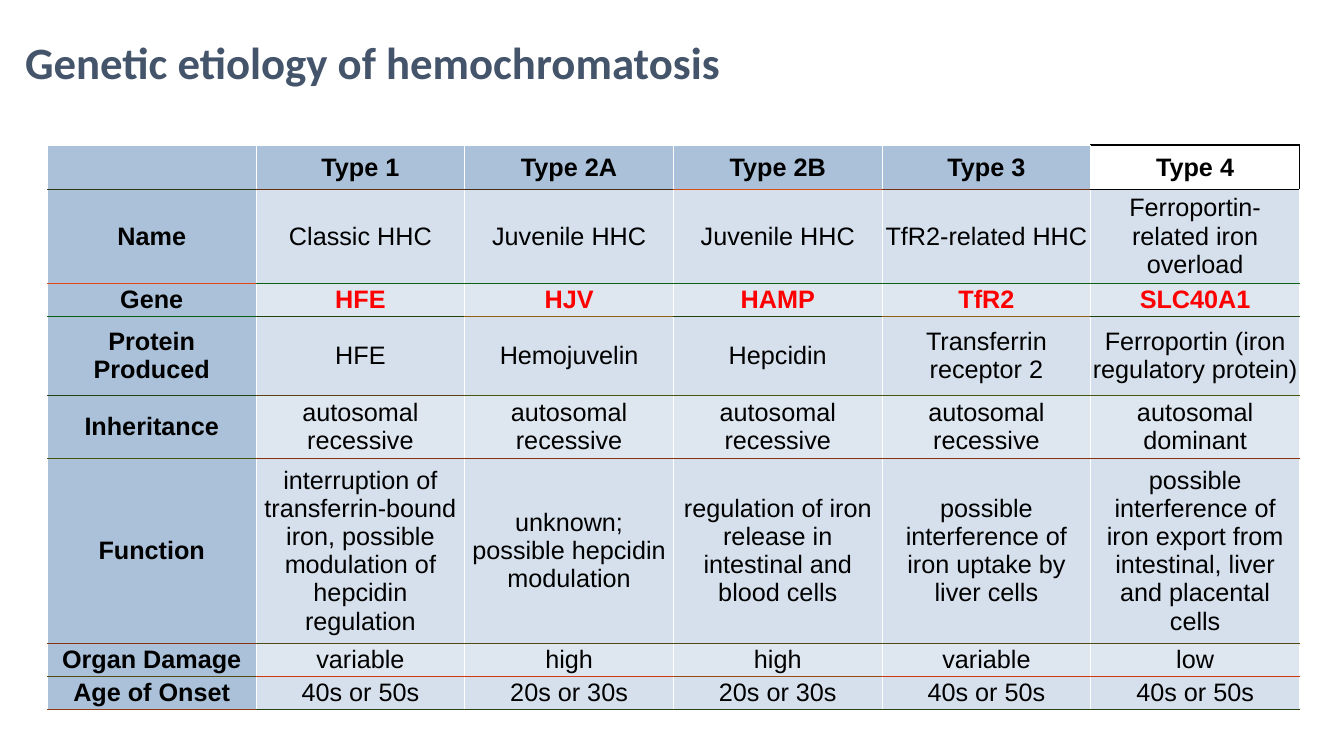
import pptx
import pptx.dml.color
import pptx.enum.text
import pptx.oxml
import pptx.oxml.ns
import pptx.util
from pptx.dml.color import RGBColor
from pptx.util import Inches

BLACK = RGBColor(0, 0, 0)
WHITE = RGBColor(255, 255, 255)
RED = RGBColor(255, 0, 0)
SLATE = RGBColor(0x44, 0x54, 0x6A)
HEAD = RGBColor(0xAA, 0xC1, 0xD9)
ODD = RGBColor(0xD5, 0xE0, 0xEC)
EVEN = RGBColor(0xDE, 0xE6, 0xEF)
GREEN = RGBColor(0x08, 0x62, 0x10)
PINE = RGBColor(0x20, 0x41, 0x10)
OCHRE = RGBColor(0x90, 0x61, 0x10)
MOSS = RGBColor(0x48, 0x55, 0x10)
RUST = RGBColor(0x88, 0x33, 0x10)
OLIVE = RGBColor(0x50, 0x4A, 0x10)
BRICK = RGBColor(0xD0, 0x39, 0x10)
LEAF = RGBColor(0x28, 0x42, 0x10)

ROWS = [
    ["", "Type 1", "Type 2A", "Type 2B", "Type 3", "Type 4"],
    ["Name", "Classic HHC", "Juvenile HHC", "Juvenile HHC", "TfR2-related HHC",
     "Ferroportin-related iron overload"],
    ["Gene", "HFE", "HJV", "HAMP", "TfR2", "SLC40A1"],
    ["Protein Produced", "HFE", "Hemojuvelin", "Hepcidin", "Transferrin receptor 2",
     "Ferroportin (iron regulatory protein)"],
    ["Inheritance"] + ["autosomal recessive"] * 4 + ["autosomal dominant"],
    ["Function",
     "interruption of transferrin-bound iron, possible modulation of hepcidin regulation",
     "unknown; possible hepcidin modulation",
     "regulation of iron release in intestinal and blood cells",
     "possible interference of iron uptake by liver cells",
     "possible interference of iron export from intestinal, liver and placental cells"],
    ["Organ Damage", "variable", "high", "high", "variable", "low"],
    ["Age of Onset", "40s or 50s", "20s or 30s", "20s or 30s", "40s or 50s", "40s or 50s"],
]
TALL = [0.44, 0.93, 0.33, 0.78, 0.63, 1.83, 0.33, 0.33]
WIDE = 2.07
GENE = ROWS[2]
RULES = [
    [WHITE] * 5 + [BLACK],
    [RGBColor(0x30, 0x37, 0x10), RGBColor(0x68, 0x2F, 0x10), RGBColor(0x48, 0x2E, 0x10),
     RGBColor(0xD8, 0x4F, 0x10), RGBColor(0x78, 0x2E, 0x10), BLACK],
    [RGBColor(0xE8, 0x45, 0x10)] + [GREEN] * 5,
    [GREEN, PINE, OCHRE, PINE, OCHRE, PINE],
    [PINE, RGBColor(0x60, 0x40, 0x10)] + [MOSS] * 4,
    [MOSS] + [RUST] * 5,
    [RUST] + [OLIVE] * 5,
    [OLIVE, BRICK, BRICK, RGBColor(0x98, 0x4A, 0x10), BRICK, BRICK],
    [RGBColor(0x90, 0x3A, 0x10)] + [LEAF] * 5,
]


def add_edge(cell, side, color, width=0.75):
    """Draw one side of a table cell."""
    props = cell._tc.get_or_add_tcPr()
    space = pptx.oxml.ns.nsdecls("a")
    props.append(pptx.oxml.parse_xml(
        f'<a:ln{side} {space} w="{pptx.util.Pt(width)}"><a:solidFill>'
        f'<a:srgbClr val="{color}"/></a:solidFill></a:ln{side}>'))


def set_text(cell, text, bold, color):
    """Write centred text in a table cell."""
    cell.vertical_anchor = pptx.enum.text.MSO_ANCHOR.MIDDLE
    cell.margin_left = cell.margin_right = Inches(0.02)
    cell.margin_top = cell.margin_bottom = Inches(0.02)
    cell.text = text
    para = cell.text_frame.paragraphs[0]
    para.alignment = pptx.enum.text.PP_ALIGN.CENTER
    para.font.name = "Arial"
    para.font.size = pptx.util.Pt(18)
    para.font.bold = bold
    para.font.color.rgb = color


def set_cell(cell, row, col):
    """Give a cell its text, edges and fill."""
    first = row == 0 or col == 0
    gene = ROWS[row] is GENE and col > 0
    lone = row == 0 and col == 5
    set_text(cell, ROWS[row][col], first or gene, RED if gene else BLACK)
    add_edge(cell, "L", WHITE)
    add_edge(cell, "R", BLACK if lone else WHITE, 1.5 if lone else 0.75)
    add_edge(cell, "T", RULES[row][col], 1.5 if lone else 0.75)
    add_edge(cell, "B", RULES[row + 1][col])
    if lone:
        cell.fill.background()
    else:
        cell.fill.solid()
        cell.fill.fore_color.rgb = HEAD if first else ODD if row % 2 else EVEN


def add_grid(slide):
    """Add the table of types."""
    count = len(ROWS[0])
    table = slide.shapes.add_table(
        len(ROWS), count, Inches(0.47), Inches(1.44),
        Inches(WIDE * count), Inches(sum(TALL))).table
    table.first_row = table.horz_banding = False
    for col in table.columns:
        col.width = Inches(WIDE)
    for row, tall in enumerate(TALL):
        table.rows[row].height = Inches(tall)
        for col in range(count):
            set_cell(table.cell(row, col), row, col)


def add_title(slide, text):
    """Add the heading."""
    box = slide.shapes.add_textbox(Inches(0.15), Inches(0.3), Inches(8.14), Inches(0.64))
    frame = box.text_frame
    frame.word_wrap = False
    frame.auto_size = pptx.enum.text.MSO_AUTO_SIZE.SHAPE_TO_FIT_TEXT
    para = frame.paragraphs[0]
    para.text = text
    para.font.name = "Calibri"
    para.font.size = pptx.util.Pt(32)
    para.font.bold = True
    para.font.color.rgb = SLATE


def main():
    """Build the slide and save it."""
    deck = pptx.Presentation()
    deck.slide_width = Inches(13.33)
    deck.slide_height = Inches(7.5)
    slide = deck.slides.add_slide(deck.slide_layouts[6])
    add_grid(slide)
    add_title(slide, "Genetic etiology of hemochromatosis")
    deck.save("out.pptx")


if __name__ == "__main__":
    main()
